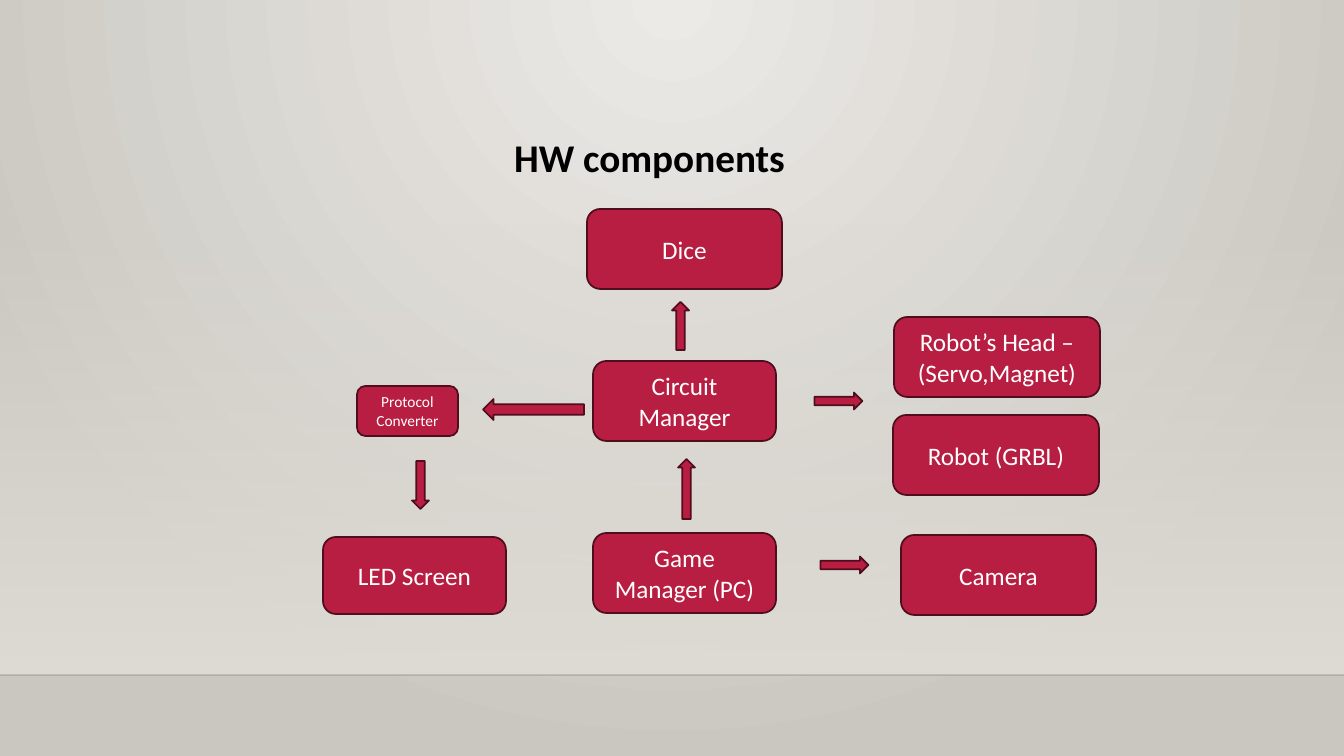
from lxml import etree
from pptx import Presentation
from pptx.dml.color import RGBColor
from pptx.enum.shapes import MSO_CONNECTOR, MSO_SHAPE
from pptx.enum.text import MSO_ANCHOR, MSO_AUTO_SIZE, PP_ALIGN
from pptx.oxml.ns import qn
from pptx.util import Pt

PX = 914400 / 100.8
WIDTH, HEIGHT = 1344, 756
FLOOR = 675
RECTANGLE, ROUNDED = MSO_SHAPE.RECTANGLE, MSO_SHAPE.ROUNDED_RECTANGLE
DOWN, RIGHT = MSO_SHAPE.DOWN_ARROW, MSO_SHAPE.RIGHT_ARROW


def paint(color, value, alpha=None):
    """Set a colour from hex, with an optional opacity in percent."""
    color.rgb = RGBColor.from_string(value)
    if alpha is not None:
        for node in page.element.iter(qn("a:srgbClr")):
            if node.get("val") == value and len(node) == 0:
                etree.SubElement(node, qn("a:alpha"), val=str(alpha * 1000))


def add_block(kind, left, top, width, height):
    """Add a red, outlined shape without a shadow."""
    block = page.shapes.add_shape(kind, *[round(n * PX) for n in (left, top, width, height)])
    block.shadow.inherit = False
    block.fill.solid()
    paint(block.fill.fore_color, "B71E42")
    paint(block.line.color, "500D1D")
    block.line.width = Pt(1.25)
    return block


deck = Presentation()
deck.slide_width, deck.slide_height = round(WIDTH * PX), round(HEIGHT * PX)
page = deck.slides.add_slide(deck.slide_layouts[5])

# Background: glow from the top centre
backdrop = page.background.fill
backdrop.gradient()
for stop, value in zip(backdrop.gradient_stops, ("ECEAE7", "CAC7C1")):
    paint(stop.color, value)
gradient = page.element.find(".//" + qn("a:gradFill"))
gradient.remove(gradient.find(qn("a:lin")))
glow = etree.SubElement(gradient, qn("a:path"), {"path": "circle"})
etree.SubElement(glow, qn("a:fillToRect"), l="43000", t="0", r="43000", b="100000")

# Wall fading in down to the floor line
wall = add_block(RECTANGLE, 0, 223, WIDTH, FLOOR - 223)
wall.line.fill.background()
wall.fill.gradient()
wall.fill.gradient_angle = 270
clear, solid = wall.fill.gradient_stops
paint(clear.color, "DFDBD5", 0)
paint(solid.color, "DFDBD5")

floor = page.shapes.add_connector(MSO_CONNECTOR.STRAIGHT, 0, round(FLOOR * PX),
                                  round(WIDTH * PX), round(FLOOR * PX))
paint(floor.line.color, "000001", 20)
floor.line.width = Pt(1)
etree.SubElement(floor.element.spPr, qn("a:effectLst"))

# Title
title = page.shapes.title
title.left, title.top, title.width, title.height = [round(n * PX) for n in (504, 128, 340, 57)]
frame = title.text_frame
frame.text = "HW components"
frame.word_wrap = False
frame.auto_size = MSO_AUTO_SIZE.SHAPE_TO_FIT_TEXT
frame.vertical_anchor = MSO_ANCHOR.TOP
para = frame.paragraphs[0]
para.alignment = PP_ALIGN.LEFT
para.font.name, para.font.size, para.font.bold = "Calibri", Pt(28), True
paint(para.font.color, "000000")

# Components: text, left, top, width, height, text size
components = [
    ("Game Manager (PC)", 593, 533, 183, 80, 18),
    ("Circuit Manager", 593, 361, 183, 80, 18),
    ("Robot (GRBL)", 893, 415, 206, 80, 18),
    ("Robot’s Head – (Servo,Magnet)", 894, 317, 206, 80, 18),
    ("LED Screen", 323, 537, 183, 77, 18),
    ("Camera", 901, 535, 195, 80, 18),
    ("Dice", 587, 209, 195, 80, 18),
    ("Protocol Converter", 357, 386, 101, 50, 11),
]
for text, left, top, width, height, size in components:
    box = add_block(ROUNDED, left, top, width, height)
    frame = box.text_frame
    frame.text = text
    frame.word_wrap = True
    frame.vertical_anchor = MSO_ANCHOR.MIDDLE
    para = frame.paragraphs[0]
    para.alignment = PP_ALIGN.CENTER
    para.font.name, para.font.size = "Calibri", Pt(size)
    paint(para.font.color, "FFFFFF")

# Arrows: kind, left, top, width, height, rotation
arrows = [
    (DOWN, 678, 459, 17, 60, 180),
    (RIGHT, 483, 399, 101, 21, 180),
    (DOWN, 412, 461, 17, 48, 0),
    (DOWN, 836, 541, 17, 48, 270),
    (DOWN, 830, 377, 17, 48, 270),
    (DOWN, 672, 302, 17, 48, 180),
]
for kind, left, top, width, height, turn in arrows:
    arrow = add_block(kind, left, top, width, height)
    arrow.rotation = turn

deck.save("out.pptx")
